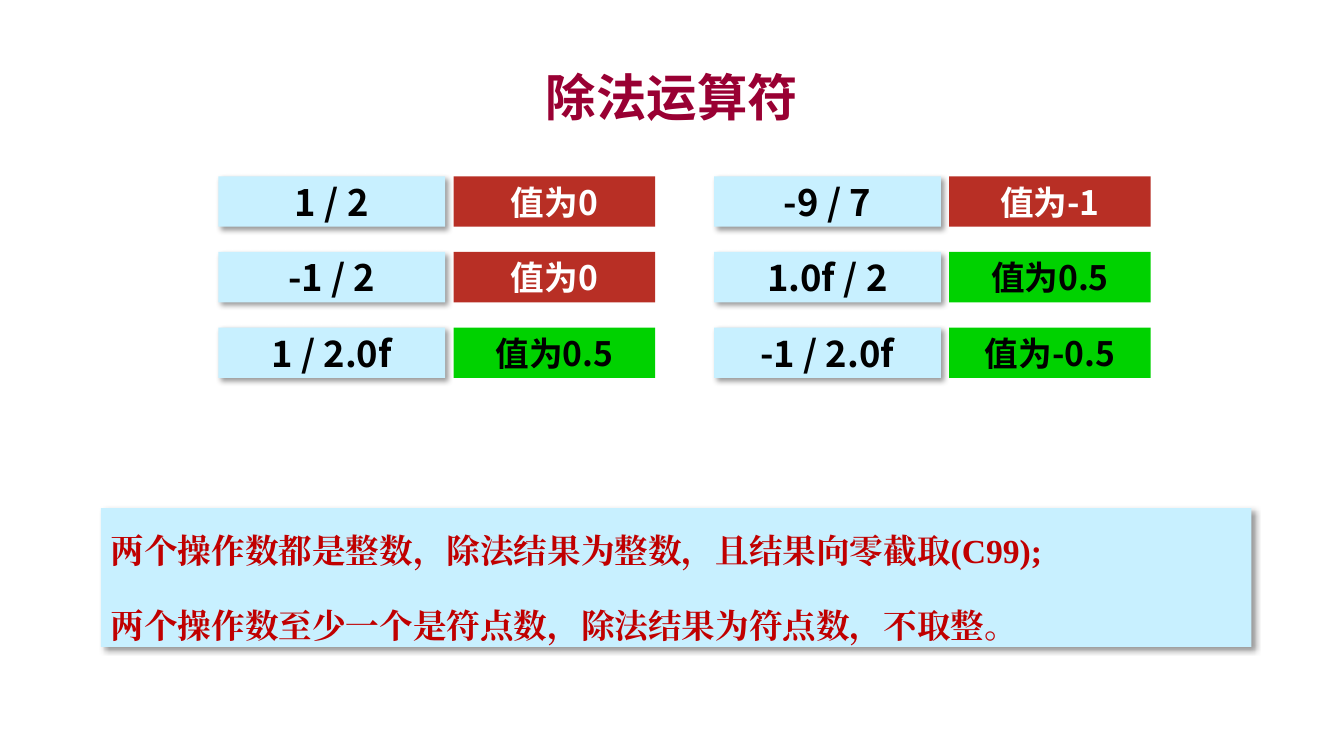
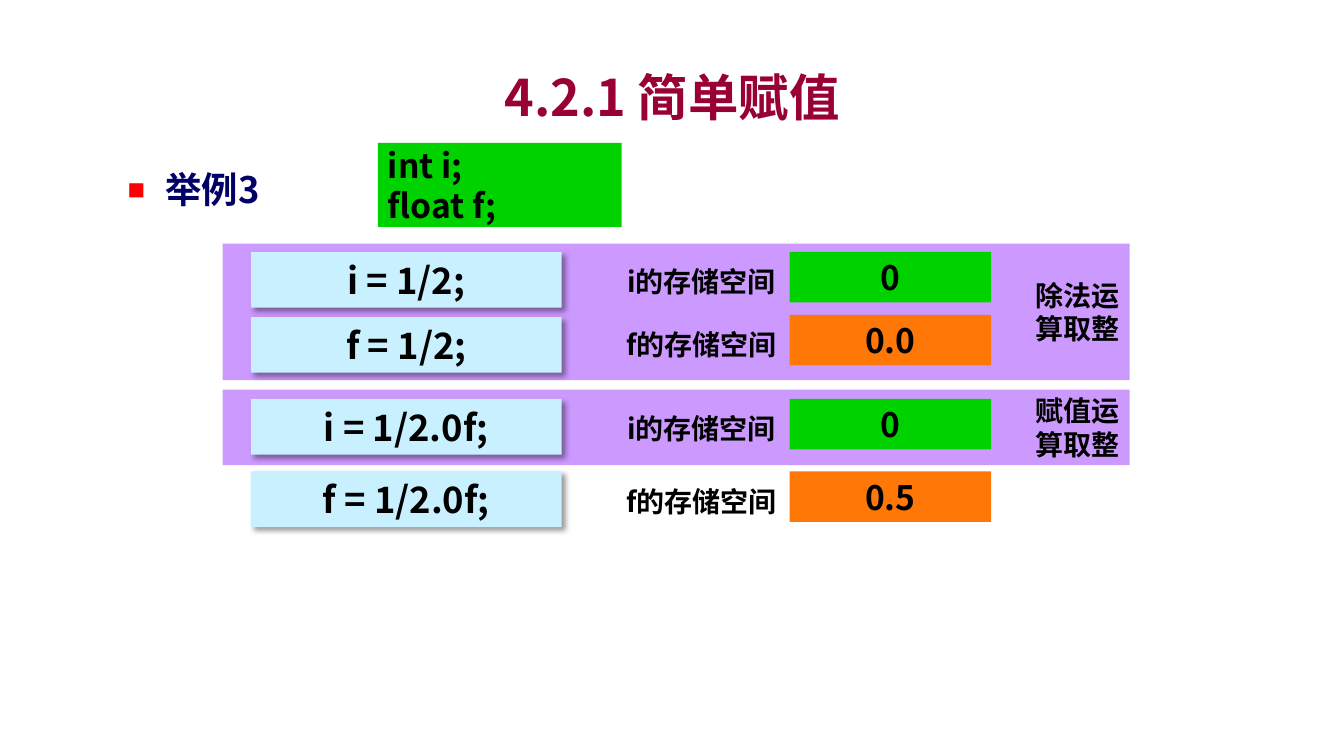
from pptx import Presentation
from pptx.dml.color import RGBColor
from pptx.enum.shapes import MSO_SHAPE
from pptx.enum.text import MSO_ANCHOR, MSO_AUTO_SIZE, PP_ALIGN
from pptx.oxml.xmlchemy import OxmlElement
from pptx.util import Emu, Pt

RECT = MSO_SHAPE.RECTANGLE
MIDDLE, TOP = MSO_ANCHOR.MIDDLE, MSO_ANCHOR.TOP
LEFT, CENTER, RIGHT = PP_ALIGN.LEFT, PP_ALIGN.CENTER, PP_ALIGN.RIGHT
NO_FIT = MSO_AUTO_SIZE.NONE
PX = 9525
SANS, SERIF = "Noto Sans CJK SC", "Times New Roman"
HUES = {
    "title": "990033", "body": "000066", "bullet": "FF0000", "note": "C00000",
    "black": "000000", "white": "FFFFFF", "ice": "C8F0FF", "red": "B82F25",
    "green": "00D200", "orange": "FF7706", "violet": "CC99FF",
}


def px(*sizes):
    """Turn pixel lengths into EMU."""
    return [Emu(size * PX) for size in sizes]


def rgb(name):
    """Look up a named colour."""
    return RGBColor.from_string(HUES[name])


def child(parent, tag, **attrs):
    """Append an XML element with attributes."""
    node = OxmlElement(tag)
    for key, value in attrs.items():
        node.set(key, str(value))
    parent.append(node)
    return node


def write(shape, text, size, hue="black", align=CENTER, face=SANS, anchor=MIDDLE, wrap=False, **lines):
    """Fill a shape with bold text, one paragraph a line."""
    frame = shape.text_frame
    frame.text = text
    for key, value in {"auto_size": NO_FIT, "word_wrap": wrap, "vertical_anchor": anchor}.items():
        setattr(frame, key, value)
    for para in frame.paragraphs:
        for key, value in {"alignment": align, "space_before": Pt(0), **lines}.items():
            setattr(para, key, value)
        for run in para.runs:
            for key, value in {"name": face, "size": Pt(size), "bold": True}.items():
                setattr(run.font, key, value)
            run.font.color.rgb = rgb(hue)
            child(run.font._element, "a:ea", typeface=face)
    return frame


def shade(shape):
    """Give a shape a soft shadow to the lower right."""
    cast = child(shape._element.spPr.find("{*}effectLst"), "a:outerShdw", blurRad=Pt(4),
                 dist=Pt(3), dir=45 * 60000, algn="tl", rotWithShape=0)
    child(child(cast, "a:srgbClr", val=HUES["black"]), "a:alpha", val=40000)


def box(slide, place, fill, text, size=24, **form):
    """Draw a filled rectangle with text."""
    shape = slide.shapes.add_shape(RECT, *px(*place))
    shape.shadow.inherit = False
    shape.fill.solid()
    shape.fill.fore_color.rgb = rgb(fill)
    shape.line.fill.background()
    write(shape, text, size, **form)
    return shape


def card(slide, place, text, size=26, **form):
    """Draw a pale rectangle with a shadow."""
    shade(box(slide, place, "ice", text, size, **form))


def label(slide, place, text):
    """Place a plain text label."""
    write(slide.shapes.add_textbox(*px(*place)), text, 20)


def move(shape, place):
    """Set the place of a placeholder."""
    for key, value in zip(("left", "top", "width", "height"), px(*place)):
        setattr(shape, key, value)


def start(deck, kind, title):
    """Add a slide with the shared title style."""
    slide = deck.slides.add_slide(deck.slide_layouts.get_by_name(kind))
    move(slide.shapes.title, (96, 56, 1088, 72))
    write(slide.shapes.title, title, 36, "title", wrap=True)
    return slide


def topic(slide, text):
    """Format the body placeholder as one bulleted item."""
    body = slide.placeholders[1]
    move(body, (112, 144, 1048, 96))
    frame = write(body, text, 26, "body", LEFT, anchor=TOP, wrap=True,
                  line_spacing=1.25, space_after=Pt(6))
    props = frame.paragraphs[0]._p.get_or_add_pPr()
    props.set("marL", str(36 * PX))
    props.set("indent", str(-36 * PX))
    child(child(props, "a:buClr"), "a:srgbClr", val=HUES["bullet"])
    child(props, "a:buSzPct", val=80000)
    child(props, "a:buChar", char="■")


def divide(deck):
    """Build the slide on the division operator."""
    slide = start(deck, "Title Only", "除法运算符")
    groups = {
        208: (("1 / 2", "0"), ("-1 / 2", "0"), ("1 / 2.0f", "0.5")),
        680: (("-9 / 7", "-1"), ("1.0f / 2", "0.5"), ("-1 / 2.0f", "-0.5")),
    }
    for left, rows in groups.items():
        for row, (term, value) in enumerate(rows):
            top = 168 + 72 * row
            fill, hue = ("green", "black") if "." in value else ("red", "white")
            card(slide, (left, top, 216, 48), term)
            box(slide, (left + 224, top, 192, 48), fill, f"值为{value}", hue=hue)
    note = "两个操作数都是整数，除法结果为整数，且结果向零截取(C99);\n两个操作数至少一个是符点数，除法结果为符点数，不取整。"
    shape_place = (96, 484, 1096, 132)
    card(slide, shape_place, note, 24, hue="note", align=LEFT, face=SERIF, line_spacing=1.5)
    slide.shapes[-1].text_frame.paragraphs[1].space_before = Pt(10)


def assign(deck):
    """Build the slide on simple assignment."""
    slide = start(deck, "Title and Content", "4.2.1 简单赋值")
    topic(slide, "举例3")
    box(slide, (360, 136, 232, 80), "green", "int i;\nfloat f;", align=LEFT)
    for top, height, text in ((232, 130, "除法运\n算取整"), (371, 72, "赋值运\n算取整")):
        box(slide, (212, top, 864, height), "violet", text, 20, align=RIGHT)
    rows = (
        (240, 240, "i", "1/2", "0"), (302, 300, "f", "1/2", "0.0"),
        (380, 380, "i", "1/2.0f", "0"), (449, 449, "f", "1/2.0f", "0.5"),
    )
    for left_top, top, name, term, value in rows:
        card(slide, (239, left_top, 296, 53), f"{name} = {term};")
        label(slide, (584, top, 168, 56), f"{name}的存储空间")
        box(slide, (752, top, 192, 48), "green" if name == "i" else "orange", value)


def main():
    """Build and save the deck."""
    deck = Presentation()
    deck.slide_width, deck.slide_height = px(1280, 720)
    divide(deck)
    assign(deck)
    deck.save("out.pptx")


if __name__ == "__main__":
    main()
